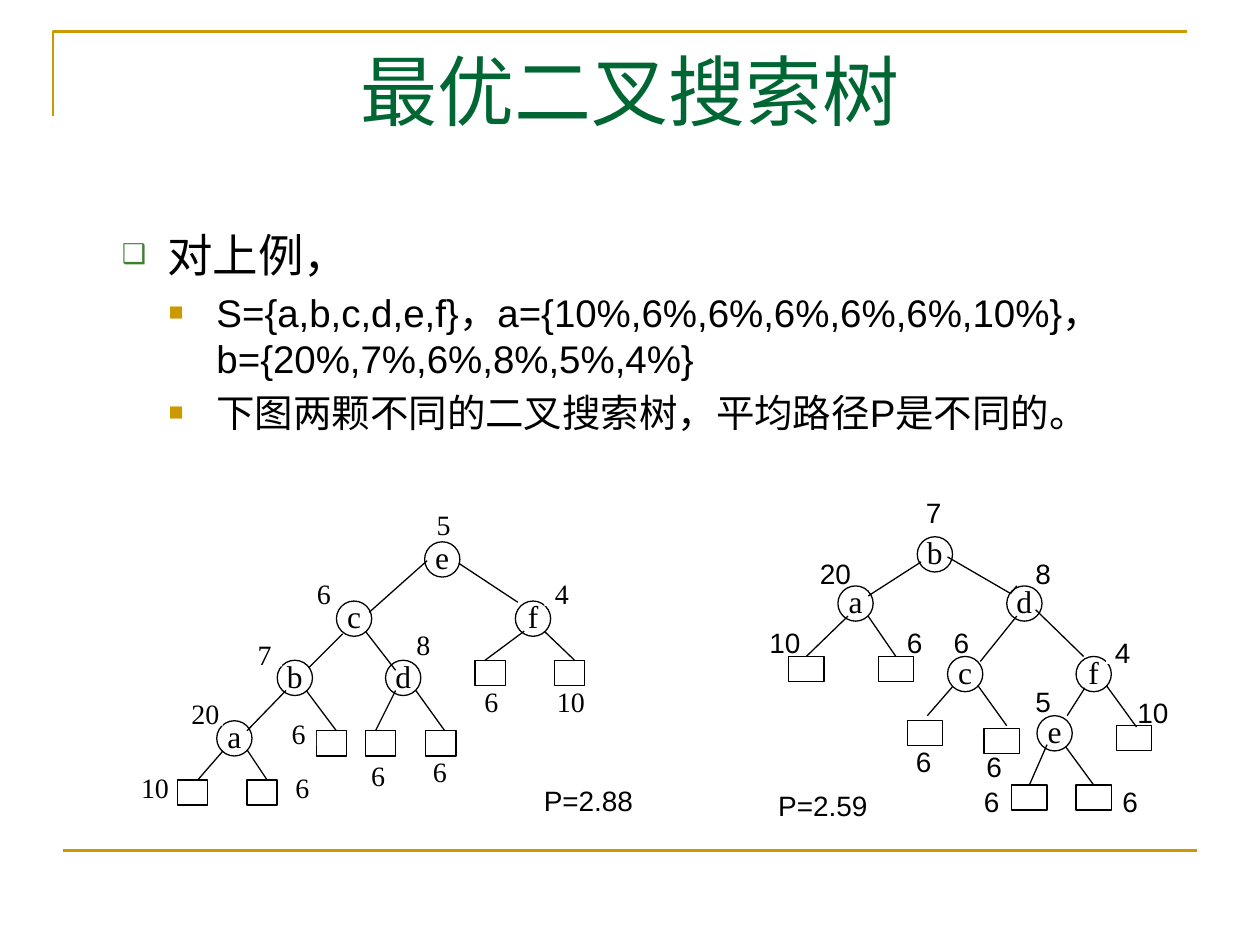
from lxml.etree import SubElement
from pptx import Presentation
from pptx.dml.color import RGBColor
from pptx.enum.shapes import MSO_CONNECTOR, MSO_SHAPE
from pptx.enum.text import MSO_ANCHOR, PP_ALIGN
from pptx.oxml.ns import qn
from pptx.util import Inches, Pt

deck = Presentation()
deck.slide_width, deck.slide_height = Inches(10), Inches(7.5)
slide = deck.slides.add_slide(deck.slide_layouts[6])
COL = deck.slide_width / 100
ROW = deck.slide_height / 75
BLACK, WHITE, GOLD, GREEN = "000000", "FFFFFF", "CC9900", "006633"


def paint(fill, color):
    fill.solid()
    fill.fore_color.rgb = RGBColor.from_string(color)


def place(tree, preset, corner, size, text="", font="Arial", points=16, outlined=True):
    part = tree.shapes.add_shape(preset, int(corner[0] * COL), int(corner[1] * ROW),
                                 int(size[0] * COL), int(size[1] * ROW))
    part.shadow.inherit = False
    paint(part.fill, WHITE)
    if outlined:
        paint(part.line.fill, BLACK)
        part.line.width = Pt(0.75)
    else:
        part.line.fill.background()
    if text:
        frame = part.text_frame
        frame.margin_left = frame.margin_right = frame.margin_top = frame.margin_bottom = 0
        frame.word_wrap = False
        frame.vertical_anchor = MSO_ANCHOR.MIDDLE
        paragraph = frame.paragraphs[0]
        paragraph.alignment = PP_ALIGN.CENTER
        if preset == MSO_SHAPE.OVAL:
            paragraph.line_spacing = 0.9
        run = paragraph.add_run()
        run.text = text
        run.font.name, run.font.size = font, Pt(points)
        paint(run.font.fill, BLACK)
    return part


pen = slide.shapes.build_freeform(int(4.2 * COL), int(9.2 * ROW))
pen.add_line_segments([(int(4.2 * COL), int(2.5 * ROW)), (int(94.2 * COL), int(2.5 * ROW))], close=False)
corner_rule = pen.convert_to_shape()
corner_rule.shadow.inherit = False
corner_rule.fill.background()
bottom_rule = slide.shapes.add_connector(
    MSO_CONNECTOR.STRAIGHT, int(5 * COL), int(67.5 * ROW), int(95 * COL), int(67.5 * ROW))
for rule in (corner_rule, bottom_rule):
    paint(rule.line.fill, GOLD)
    rule.line.width = Pt(1.5)
SubElement(bottom_rule._element.spPr, qn("a:effectLst"))

title = slide.shapes.add_textbox(int(5 * COL), int(3 * ROW), int(90 * COL), int(12.5 * ROW)).text_frame
title.word_wrap = True
title.paragraphs[0].alignment = PP_ALIGN.CENTER
heading = title.paragraphs[0].add_run()
heading.text = "最优二叉搜索树"
heading.font.name, heading.font.size = "Times New Roman", Pt(44)
paint(heading.font.fill, GREEN)

body = slide.shapes.add_textbox(int(5 * COL), int(17.5 * ROW), int(90 * COL), int(49.5 * ROW)).text_frame
body.word_wrap = True
LEVELS = [
    {"points": 26, "left": 7.3, "hang": 3.6, "mark": "❑", "color": "3B812F", "share": "60000"},
    {"points": 22, "left": 11.2, "hang": 3.8, "mark": "■", "color": GOLD, "share": "65000"},
]
POINTS = [
    (0, "对上例，"),
    (1, "S={a,b,c,d,e,f}，a={10%,6%,6%,6%,6%,6%,10%}，b={20%,7%,6%,8%,5%,4%}"),
    (1, "下图两颗不同的二叉搜索树，平均路径P是不同的。"),
]
for index, (depth, wording) in enumerate(POINTS):
    level = LEVELS[depth]
    point = body.add_paragraph() if index else body.paragraphs[0]
    point.level = depth
    point.space_before = Pt(level["points"] * 0.2)
    props = point._p.get_or_add_pPr()
    props.set("marL", str(int(level["left"] * COL)))
    props.set("indent", str(-int(level["hang"] * COL)))
    SubElement(SubElement(props, qn("a:buClr")), qn("a:srgbClr"), val=level["color"])
    SubElement(props, qn("a:buSzPct"), val=level["share"])
    SubElement(props, qn("a:buFont"), typeface="Arial")
    SubElement(props, qn("a:buChar"), char=level["mark"])
    run = point.add_run()
    run.text = wording
    run.font.name, run.font.size = "Arial", Pt(level["points"])
    paint(run.font.fill, BLACK)

TREES = [
    {
        "font": "Times New Roman", "label_size": (2.8, 2), "leaf_size": (2.4, 2),
        "nodes": {"e": (33.7, 43), "c": (26.7, 47.7), "b": (22, 52.4), "a": (17.2, 57.2),
                  "f": (40.9, 47.7), "d": (30.6, 52.4)},
        "leaves": [(14.1, 61.9), (19.6, 61.9), (25.1, 58), (29, 58), (33.8, 58),
                   (37.7, 52.4), (44, 52.4)],
        "edges": [(33.9, 44.5, 29.3, 48.6), (36.4, 44.7, 41.1, 47.8), (27.2, 50.3, 24.5, 53),
                  (29, 50.1, 31.4, 53.2), (41.6, 50.1, 38.5, 52.4), (43.2, 50.1, 45.6, 52.4),
                  (22.7, 54.8, 19.6, 58), (24.3, 54.8, 26.7, 58), (17.7, 59.6, 15.7, 61.9),
                  (19.6, 59.5, 21.2, 61.9), (31.4, 54.8, 29.8, 58), (33, 54.8, 35.3, 58)],
        "weights": [("5", 33.8, 40.6), ("6", 24.3, 46.1), ("4", 43.2, 46.1), ("8", 32.2, 50.1),
                    ("7", 19.6, 50.9), ("20", 14.9, 55.6), ("6", 22.6, 61.5), ("6", 22.3, 57.2),
                    ("10", 10.9, 61.5), ("6", 28.6, 60.5), ("6", 33.5, 60.2), ("6", 37.6, 54.7),
                    ("10", 43.9, 54.7)],
        "bend": [],
        "average": ("P=2.88", 41.6, 62.3),
    },
    {
        "font": "Arial", "label_size": (2.6, 1.8), "leaf_size": (2.8, 2),
        "nodes": {"b": (72.8, 42.6), "a": (66.5, 46.5), "d": (79.9, 46.5), "f": (85.4, 52.1),
                  "e": (82.3, 56.8), "c": (75.2, 52.1)},
        "leaves": [(62.6, 52.1), (69.7, 52.1), (72, 57.2), (78.1, 57.8), (88.6, 57.6),
                   (85.4, 62.3), (80.3, 62.3)],
        "edges": [(86.1, 54.6, 84.7, 56.8), (67.3, 48.9, 64.2, 52.1), (73.1, 44.6, 68.9, 47.3),
                  (68.9, 48.9, 71.3, 52.1), (80.7, 48.9, 77.8, 52.5), (82.2, 48.4, 86, 52.1),
                  (75.6, 54.5, 73.6, 56.8), (77.6, 54.4, 79.9, 57.6), (87.8, 54.4, 90.2, 57.7),
                  (83.1, 59.1, 81.5, 62.3), (84.6, 59.3, 87, 62.3)],
        "weights": [("6", 71.3, 50.1), ("6", 88.4, 62.7), ("6", 72, 59.5), ("6", 77.6, 59.9),
                    ("6", 77.4, 62.7), ("6", 75, 50.1), ("7", 72.8, 39.8), ("20", 65, 44.6),
                    ("4", 87.8, 50.9), ("8", 81.5, 44.6), ("10", 90.2, 55.6), ("10", 61, 50.1),
                    ("5", 81.5, 54.8)],
        "bend": [(75.2, 44.2), (80.2, 47.1), (80.7, 46.5)],
        "average": ("P=2.59", 60.2, 62.7),
    },
]
for plan in TREES:
    tree = slide.shapes.add_group_shape()
    for letter, corner in plan["nodes"].items():
        place(tree, MSO_SHAPE.OVAL, corner, (2.8, 2.8), letter, "Times New Roman", 18)
    leaves = [(corner, place(tree, MSO_SHAPE.RECTANGLE, corner, plan["leaf_size"]))
              for corner in plan["leaves"]]
    for x1, y1, x2, y2 in plan["edges"]:
        edge = tree.shapes.add_connector(
            MSO_CONNECTOR.STRAIGHT, int(x1 * COL), int(y1 * ROW), int(x2 * COL), int(y2 * ROW))
        for (left, top), leaf in leaves:
            if top == y2 and abs(left + plan["leaf_size"][0] / 2 - x2) < 0.25:
                edge.end_connect(leaf, 0)
        paint(edge.line.fill, BLACK)
        edge.line.width = Pt(0.75)
        SubElement(edge._element.spPr, qn("a:effectLst"))
    if plan["bend"]:
        start, *rest = [(int(x * COL), int(y * ROW)) for x, y in plan["bend"]]
        pen = tree.shapes.build_freeform(*start)
        pen.add_line_segments(rest, close=False)
        bend = pen.convert_to_shape()
        bend.shadow.inherit = False
        bend.fill.background()
        paint(bend.line.fill, BLACK)
        bend.line.width = Pt(0.75)
    for weight, left, top in plan["weights"]:
        place(tree, MSO_SHAPE.RECTANGLE, (left, top), plan["label_size"], weight,
              plan["font"], outlined=False)
    average, left, top = plan["average"]
    place(tree, MSO_SHAPE.RECTANGLE, (left, top), (10.2, 2.4), average, outlined=False)

deck.save("out.pptx")
